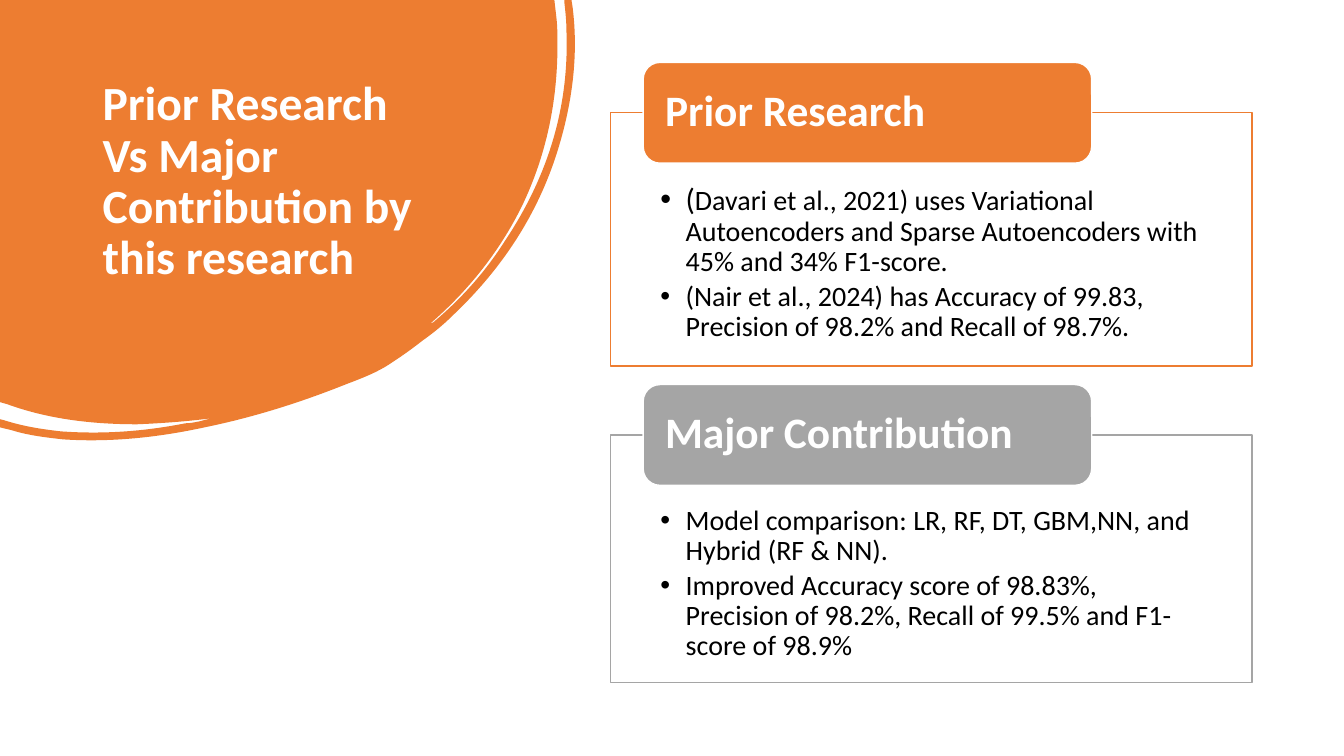
from lxml import etree
from pptx import Presentation
from pptx.dml.color import RGBColor
from pptx.enum.shapes import MSO_SHAPE
from pptx.enum.text import MSO_ANCHOR, PP_ALIGN
from pptx.oxml.ns import qn
from pptx.util import Pt

RECTANGLE = MSO_SHAPE.RECTANGLE
ROUNDED = MSO_SHAPE.ROUNDED_RECTANGLE
TOP, MIDDLE = MSO_ANCHOR.TOP, MSO_ANCHOR.MIDDLE
LEFT = PP_ALIGN.LEFT

COLORS = {"orange": "ED7D31", "gray": "A5A5A5", "white": "FFFFFF", "black": "000000"}
FONT = "Calibri"

BLOB_SIZE = (411, 314.6)
# Two numbers are a line to a point; six are a Bezier curve (two controls, end).
BLOB_OUTLINE = [
    (396, 0), (397.4, 12.2),
    (398.2, 18.7, 398.2, 25.9, 398.2, 32.4),
    (398.2, 72.7, 390.2, 110.9, 373, 146.9),
    (357.1, 179.3, 334.8, 207.4, 307.4, 231.1),
    (308.9, 231.1, 310.3, 229.7, 311, 229),
    (330.5, 212.4, 347, 193.7, 360.7, 172.1),
    (391, 126.7, 406.8, 77, 404.6, 21.6),
    (404.6, 15.1, 403.9, 8.6, 403.2, 2.2),
    (403.2, 0), (408.2, 0), (409, 5),
    (413.3, 38.9, 409, 73.4, 398.2, 108),
    (383.8, 154.1, 357.8, 193, 322.6, 226.1),
    (316.1, 232.6, 308.9, 238.3, 301.7, 243.4),
    (294.5, 249.1, 287.3, 254.2, 278.6, 259.9),
    (270, 265.7, 259.2, 270, 247.7, 274.3),
    (215.3, 287.3, 181.4, 298.1, 146.2, 305.3),
    (113, 312.5, 79.2, 316.1, 45.4, 313.9),
    (32.4, 312.5, 20.2, 311, 8.6, 307.4),
    (0, 305.3), (0, 299.5), (2.9, 300.2),
    (16.6, 304.6, 30.2, 306.7, 43.9, 308.2),
    (74.2, 310.3, 103, 308.2, 132.5, 302.4),
    (136.1, 302.4, 139, 301.7, 142.6, 301),
    (145.4, 300.2, 148.3, 299.5, 151.2, 298.8),
    (133.9, 301, 115.9, 302.4, 97.9, 303.1),
    (66.2, 303.1, 34.6, 299.5, 5, 288.7),
    (0, 287.3),
]

# Heading, colour, top of the frame, height of the frame, bullets as (text, size) runs.
SECTIONS = [
    ("Prior Research", "orange", 80.6, 180.8, [
        [("(", 22), ("Davari et al., 2021) uses Variational Autoencoders and Sparse "
                     "Autoencoders with 45% and 34% F1-score.", 20)],
        [("(Nair et al., 2024) has Accuracy of 99.83, Precision of 98.2% and "
          "Recall of 98.7%.", 20)],
    ]),
    ("Major Contribution", "gray", 310.7, 177, [
        [("Model comparison: LR, RF, DT, GBM,NN, and Hybrid (RF & NN).", 20)],
        [("Improved Accuracy score of 98.83%, Precision of 98.2%, Recall of 99.5% "
          "and F1-score of 98.9%", 20)],
    ]),
]


def rgb(name):
    return RGBColor.from_string(COLORS[name])


def bend_segments(blob):
    """Turn the straight segments that have control points into Bezier curves."""
    outline = blob._element.find(".//" + qn("a:path"))
    outline.set("w", str(blob.width))
    outline.set("h", str(blob.height))
    for line, segment in zip(outline.findall(qn("a:lnTo")), BLOB_OUTLINE):
        if len(segment) == 2:
            continue
        curve = etree.Element(qn("a:cubicBezTo"))
        for x, y in zip(segment[::2], segment[1::2]):
            etree.SubElement(curve, qn("a:pt"), x=str(Pt(x)), y=str(Pt(y)))
        outline.replace(line, curve)


def add_blob(slide):
    builder = slide.shapes.build_freeform(0, 0)
    ends = [(Pt(segment[-2]), Pt(segment[-1])) for segment in BLOB_OUTLINE]
    builder.add_line_segments(ends, close=True)
    blob = builder.convert_to_shape()
    blob.width, blob.height = map(Pt, BLOB_SIZE)
    bend_segments(blob)
    blob.shadow.inherit = False
    blob.fill.solid()
    blob.fill.fore_color.rgb = rgb("orange")
    blob.line.fill.background()


def add_panel(slide, kind, box, fill, line):
    panel = slide.shapes.add_shape(kind, *map(Pt, box))
    panel.shadow.inherit = False
    panel.fill.solid()
    panel.fill.fore_color.rgb = rgb(fill)
    panel.line.color.rgb = rgb(line)
    panel.line.width = Pt(1)
    return panel


def set_frame(shape, anchor, left, top, right, bottom):
    frame = shape.text_frame
    frame.word_wrap = True
    frame.vertical_anchor = anchor
    frame.margin_left, frame.margin_top = Pt(left), Pt(top)
    frame.margin_right, frame.margin_bottom = Pt(right), Pt(bottom)
    return frame


def style(paragraph, color, size=None, bold=False):
    paragraph.alignment = LEFT
    paragraph.line_spacing = 0.9
    font = paragraph.font
    font.name, font.bold = FONT, bold
    font.color.rgb = rgb(color)
    if size:
        font.size = Pt(size)


def add_bullet(paragraph, runs):
    properties = paragraph._p.get_or_add_pPr()
    properties.set("marL", str(Pt(18)))
    properties.set("indent", str(-Pt(18)))
    etree.SubElement(properties, qn("a:buFont"), typeface="Arial")
    etree.SubElement(properties, qn("a:buChar"), char="•")
    style(paragraph, "black")
    paragraph.space_after = Pt(3)
    for text, size in runs:
        run = paragraph.add_run()
        run.text = text
        run.font.size = Pt(size)


def add_title(slide, text):
    title = slide.shapes.add_textbox(Pt(66.2), Pt(53.3), Pt(253.4), Pt(159.8))
    frame = set_frame(title, TOP, 7.2, 3.6, 7.2, 3.6)
    frame.text = text
    style(frame.paragraphs[0], "white", 34, True)


def add_section(slide, heading, color, top, height, bullets):
    body = add_panel(slide, RECTANGLE, (436.3, top, 457.9, height), "white", color)
    frame = set_frame(body, TOP, 35.5, 51, 35.5, 12)
    for index, runs in enumerate(bullets):
        paragraph = frame.add_paragraph() if index else frame.paragraphs[0]
        add_bullet(paragraph, runs)

    header = add_panel(slide, ROUNDED, (459.4, top - 36, 320.4, 72), color, "white")
    frame = set_frame(header, MIDDLE, 12.2, 0, 12.2, 0)
    frame.text = heading
    style(frame.paragraphs[0], "white", 31, True)


def main():
    presentation = Presentation()
    presentation.slide_width, presentation.slide_height = Pt(960), Pt(540)
    slide = presentation.slides.add_slide(presentation.slide_layouts[6])
    add_blob(slide)
    add_title(slide, "Prior Research Vs Major Contribution by this research")
    for section in SECTIONS:
        add_section(slide, *section)
    presentation.save("out.pptx")


if __name__ == "__main__":
    main()
